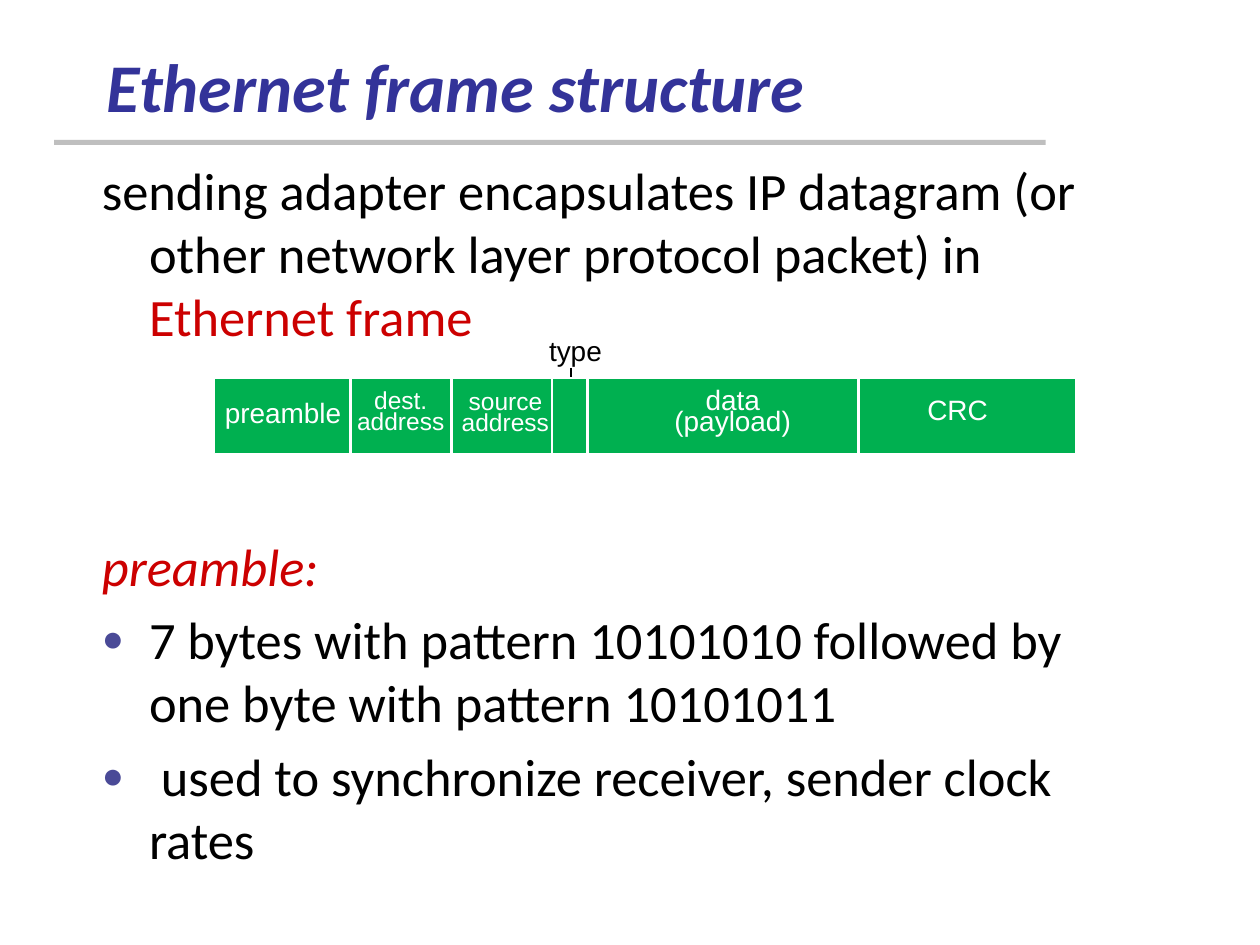
from dataclasses import dataclass

from lxml.etree import SubElement
from pptx import Presentation
from pptx.dml.color import RGBColor
from pptx.enum.shapes import MSO_CONNECTOR, MSO_SHAPE
from pptx.enum.text import MSO_ANCHOR, MSO_AUTO_SIZE, PP_ALIGN
from pptx.oxml.ns import qn
from pptx.util import Cm, Pt


@dataclass(frozen=True)
class Theme:
    heading: str = "333399"
    rule: str = "BFBFBF"
    text: str = "000000"
    accent: str = "CC0000"
    bullet: str = "4A4A97"
    frame: str = "00B050"
    divider: str = "FFFFFF"
    text_font: str = "Calibri"
    label_font: str = "Arial"
    title_size: int = 39
    body_size: int = 30
    label_size: int = 16
    address_size: int = 14


@dataclass(frozen=True)
class Box:
    left: float
    top: float
    width: float
    height: float

    def inside(self, left, top, width, height):
        return Box(self.left + left, self.top + top, width, height)

    def lengths(self):
        return Cm(self.left), Cm(self.top), Cm(self.width), Cm(self.height)


THEME = Theme()


def color(value):
    return RGBColor.from_string(value)


def style_font(font, name, size, value):
    font.name = name
    font.size = Pt(size)
    font.color.rgb = color(value)


def place(shape, box):
    shape.left, shape.top, shape.width, shape.height = box.lengths()


def add_bar(shapes, box, fill, line=None):
    bar = shapes.add_shape(MSO_SHAPE.RECTANGLE, *box.lengths())
    bar.shadow.inherit = False
    bar.fill.solid()
    bar.fill.fore_color.rgb = color(fill)
    if line:
        bar.line.color.rgb = color(line)
        bar.line.width = Pt(0.75)
    else:
        bar.line.fill.background()


def add_vertical(shapes, box, offset, start, end, value, width):
    x = Cm(box.left + offset)
    line = shapes.add_connector(
        MSO_CONNECTOR.STRAIGHT, x, Cm(box.top + start), x, Cm(box.top + end))
    line.line.color.rgb = color(value)
    line.line.width = Pt(width)
    SubElement(line._element.spPr, qn("a:effectLst"))


def set_bullet(para, bulleted):
    properties = para._p.get_or_add_pPr()
    properties.set("marL", str(Cm(0.95)))
    properties.set("indent", str(-Cm(0.95)))
    if not bulleted:
        SubElement(properties, qn("a:buNone"))
        return
    bullet_color = SubElement(properties, qn("a:buClr"))
    SubElement(bullet_color, qn("a:srgbClr"), val=THEME.bullet)
    SubElement(properties, qn("a:buSzPct"), val="70000")
    SubElement(properties, qn("a:buFont"), typeface=THEME.label_font)
    SubElement(properties, qn("a:buChar"), char="●")


def add_heading(page, box):
    add_bar(page.shapes, box.inside(-0.81, 1.85, 19.99, 0.1), THEME.rule)
    title = page.shapes.title
    place(title, box)
    title.text_frame.text = "Ethernet frame structure"
    title.text_frame.vertical_anchor = MSO_ANCHOR.BOTTOM
    title.text_frame.auto_size = MSO_AUTO_SIZE.NONE
    para = title.text_frame.paragraphs[0]
    para.alignment = PP_ALIGN.LEFT
    style_font(para.font, THEME.text_font, THEME.title_size, THEME.heading)
    para.font.bold = para.font.italic = True


def add_body(page, box):
    body = page.placeholders[1]
    place(body, box)
    frame = body.text_frame
    frame.auto_size = MSO_AUTO_SIZE.NONE
    paragraphs = [
        ("sending adapter encapsulates IP datagram (or other network layer "
         "protocol packet) in ", False, 0, THEME.text),
        ("preamble:", False, 107, THEME.accent),
        ("7 bytes with pattern 10101010 followed by one byte with pattern "
         "10101011", True, 6, THEME.text),
        (" used to synchronize receiver, sender clock rates", True, 6, THEME.text),
    ]
    for index, (text, bulleted, space, value) in enumerate(paragraphs):
        para = frame.add_paragraph() if index else frame.paragraphs[0]
        para.add_run().text = text
        set_bullet(para, bulleted)
        para.space_before = Pt(space)
        style_font(para.font, THEME.text_font, THEME.body_size, value)
    span = frame.paragraphs[0].add_run()
    span.text = "Ethernet frame"
    span.font.color.rgb = color(THEME.accent)
    frame.paragraphs[1].font.italic = True


def add_label(shapes, box, lines, size, value=THEME.divider, centred=True):
    label = shapes.add_textbox(*box.lengths())
    frame = label.text_frame
    frame.word_wrap = True
    frame.auto_size = MSO_AUTO_SIZE.SHAPE_TO_FIT_TEXT
    frame.text = "\n".join(lines)
    for para in frame.paragraphs:
        if centred:
            para.alignment = PP_ALIGN.CENTER
            para.line_spacing = Pt(12)
        style_font(para.font, THEME.label_font, size, value)


def add_frame_diagram(page, box):
    shapes = page.shapes.add_group_shape().shapes
    add_vertical(shapes, box, 7.19, -0.2, 0.36, THEME.text, 0.75)
    add_bar(shapes, box, THEME.frame, THEME.divider)
    for offset in (2.74, 4.78, 6.81, 7.52, 12.98):
        add_vertical(shapes, box, offset, 0, box.height, THEME.divider, 1.5)
    labels = [
        ((2.59, 0.18, 2.34, 1.14), ["dest.", "address"], THEME.address_size),
        ((4.7, 0.2, 2.34, 1.14), ["source", "address"], THEME.address_size),
        ((8.53, 0.23, 3.84, 1.14), ["data (payload)"], THEME.label_size),
        ((13.79, 0.43, 2.39, 0.74), ["CRC"], THEME.label_size),
        ((-0.1, 0.48, 2.97, 0.74), ["preamble"], THEME.label_size),
    ]
    for position, lines, size in labels:
        add_label(shapes, box.inside(*position), lines, size)
    add_label(shapes, box.inside(6.5, -1.02, 2.13, 0.94), ["type"],
              THEME.label_size, THEME.text, centred=False)


def main():
    deck = Presentation()
    deck.slide_width, deck.slide_height = Cm(25.4), Cm(19.05)
    page = deck.slides.add_slide(deck.slide_layouts[1])
    add_heading(page, Box(1.9, 0.97, 21.59, 1.7))
    add_body(page, Box(1.8, 3.05, 21.59, 12.06))
    add_frame_diagram(page, Box(4.32, 7.62, 17.37, 1.52))
    deck.save("out.pptx")


if __name__ == "__main__":
    main()
